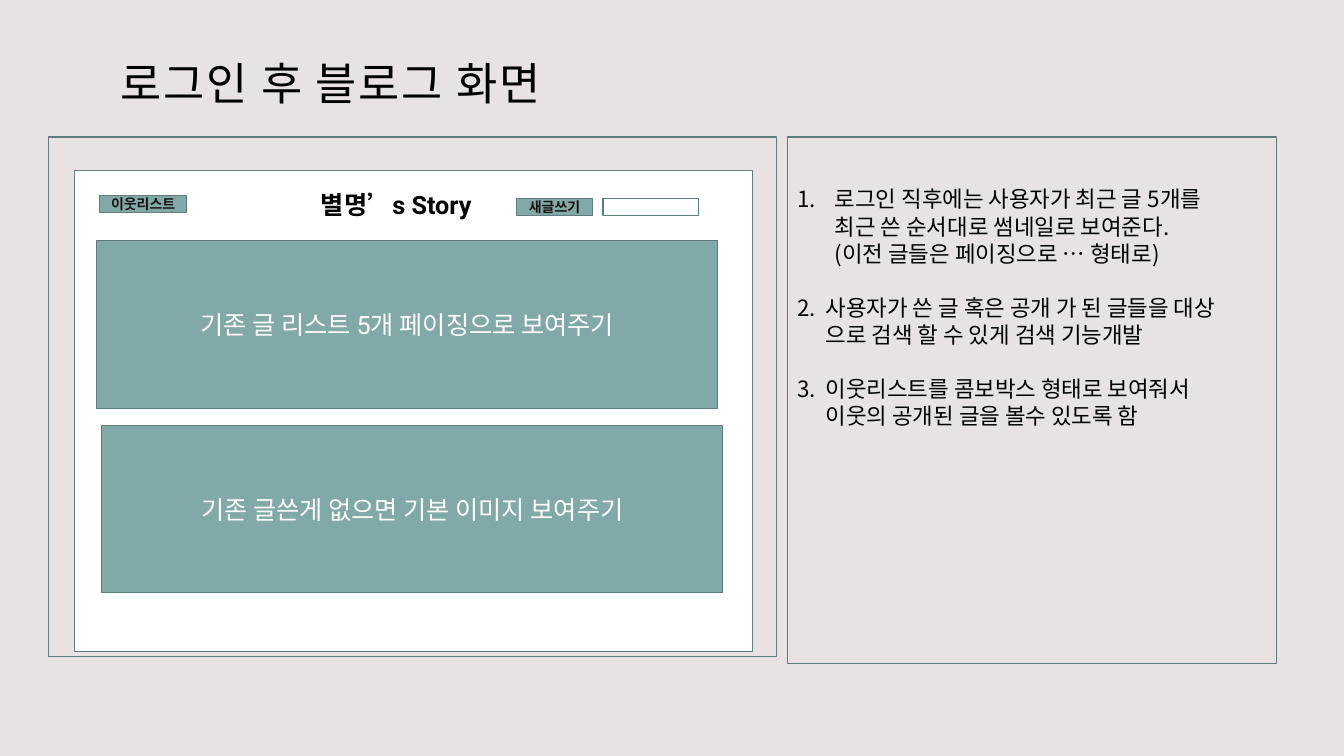
import dataclasses
import typing

import pptx
import pptx.dml.color
import pptx.enum.shapes
import pptx.enum.text
import pptx.oxml
import pptx.oxml.ns
import pptx.util

Inches = pptx.util.Inches
Pt = pptx.util.Pt
Align = pptx.enum.text.PP_ALIGN
Anchor = pptx.enum.text.MSO_ANCHOR

LATIN = "Roboto"
KOREAN = "Noto Sans CJK KR"
PAPER = "E8E2E2"
EDGE = "5F7D7C"
TEAL = "80A9A7"
WHITE = "FFFFFF"
BLACK = "000000"
DARK = "1A1414"
LINE = 19.3


@dataclasses.dataclass
class Box:
    left: float
    top: float
    width: float
    height: float
    fill: typing.Optional[str] = None
    text: str = ""
    size: float = 18
    ink: str = WHITE
    bold: bool = False
    edge: typing.Optional[str] = EDGE


@dataclasses.dataclass
class Item:
    hang: float
    lines: list[str]


def color(code: str) -> pptx.dml.color.RGBColor:
    return pptx.dml.color.RGBColor.from_string(code)


def element(tag: str, **values: str):
    node = pptx.oxml.parse_xml(f"<a:{tag} {pptx.oxml.ns.nsdecls('a')}/>")
    for name, value in values.items():
        node.set(name, value)
    return node


def style(font, size: float, ink: str, face: str = LATIN, bold: bool = False) -> None:
    font.size = Pt(size)
    font.bold = bold
    font.name = face
    font.color.rgb = color(ink)
    font._element.find(pptx.oxml.ns.qn("a:latin")).addnext(
        element("ea", typeface=KOREAN))


def place(shape, left: float, top: float, width: float, height: float) -> None:
    shape.left, shape.top = Inches(left), Inches(top)
    shape.width, shape.height = Inches(width), Inches(height)


def outline(shape, code: typing.Optional[str]) -> None:
    if code:
        shape.line.color.rgb = color(code)
        shape.line.width = Pt(0.85)
    else:
        shape.line.fill.background()


def draw(slide, box: Box) -> None:
    shape = slide.shapes.add_shape(
        pptx.enum.shapes.MSO_SHAPE.RECTANGLE, Inches(box.left), Inches(box.top),
        Inches(box.width), Inches(box.height))
    shape.shadow.inherit = False
    outline(shape, box.edge)
    if box.fill:
        shape.fill.solid()
        shape.fill.fore_color.rgb = color(box.fill)
    else:
        shape.fill.background()
    if box.text:
        frame = shape.text_frame
        frame.vertical_anchor = Anchor.MIDDLE
        para = frame.paragraphs[0]
        para.text = box.text
        para.alignment = Align.CENTER
        style(para.font, box.size, box.ink, bold=box.bold)


def head(shape, text: str) -> None:
    place(shape, 1.08, 0.43, 11.17, 0.76)
    frame = shape.text_frame
    frame.auto_size = pptx.enum.text.MSO_AUTO_SIZE.NONE
    frame.vertical_anchor = Anchor.BOTTOM
    frame.margin_left = frame.margin_right = Inches(0.12)
    frame.margin_top, frame.margin_bottom = Inches(0.12), Inches(0.1)
    para = frame.paragraphs[0]
    para.alignment = Align.LEFT
    run = para.add_run()
    run.text = text
    style(run.font, 32, BLACK)
    run.font._element.set("spc", "120")


def notes(shape, items: list[Item]) -> None:
    place(shape, 7.81, 1.36, 4.85, 5.22)
    outline(shape, EDGE)
    frame = shape.text_frame
    frame.auto_size = pptx.enum.text.MSO_AUTO_SIZE.NONE
    frame.vertical_anchor = Anchor.TOP
    frame.margin_top = Inches(0.48)
    for index, item in enumerate(items):
        para = frame.add_paragraph() if index else frame.paragraphs[0]
        para.text = "\v".join(item.lines)
        para.alignment = Align.LEFT
        para.line_spacing = Pt(LINE)
        para.space_before = Pt(LINE if index else 0)
        props = para._p.get_or_add_pPr()
        props.set("marL", str(Inches(item.hang)))
        props.set("indent", str(-Inches(item.hang)))
        props.append(element("buFont", typeface=KOREAN))
        props.append(element("buAutoNum", type="arabicPeriod", startAt=str(index + 1)))
        style(para.font, 16, BLACK, KOREAN)


ITEMS = [
    Item(0.37, ["로그인 직후에는 사용자가 최근 글 5개를",
                "최근 쓴 순서대로 썸네일로 보여준다.",
                "(이전 글들은 페이징으로 … 형태로)"]),
    Item(0.28, ["사용자가 쓴 글 혹은 공개 가 된 글들을 대상",
                "으로 검색 할 수 있게 검색 기능개발"]),
    Item(0.28, ["이웃리스트를 콤보박스 형태로 보여줘서",
                "이웃의 공개된 글을 볼수 있도록 함"]),
]

BOXES = [
    # Blog frame and page
    Box(0.48, 1.36, 7.22, 5.15),
    Box(0.74, 1.69, 6.72, 4.77, WHITE),
    Box(1.46, 1.69, 4.94, 0.68, text="별명’s Story", ink=BLACK, bold=True, edge=None),
    # Post panels
    Box(0.96, 2.39, 6.16, 1.66, TEAL, "기존 글 리스트 5개 페이징으로 보여주기"),
    Box(1.01, 4.22, 6.16, 1.66, TEAL, "기존 글쓴게 없으면 기본 이미지 보여주기"),
    # Buttons and search field
    Box(5.12, 1.97, 0.76, 0.17, TEAL, "새글쓰기", 10, DARK, True),
    Box(5.98, 1.97, 0.95, 0.17),
    Box(0.99, 1.94, 0.86, 0.17, TEAL, "이웃리스트", 10, DARK, True),
]


def main() -> None:
    deck = pptx.Presentation()
    deck.slide_width, deck.slide_height = Inches(13.33), Inches(7.5)
    slide = deck.slides.add_slide(deck.slide_layouts[1])
    slide.background.fill.solid()
    slide.background.fill.fore_color.rgb = color(PAPER)
    # Title and numbered notes
    head(slide.shapes.title, "로그인 후 블로그 화면")
    notes(slide.placeholders[1], ITEMS)
    # Blog mock-up
    for box in BOXES:
        draw(slide, box)
    deck.save("out.pptx")


if __name__ == "__main__":
    main()
